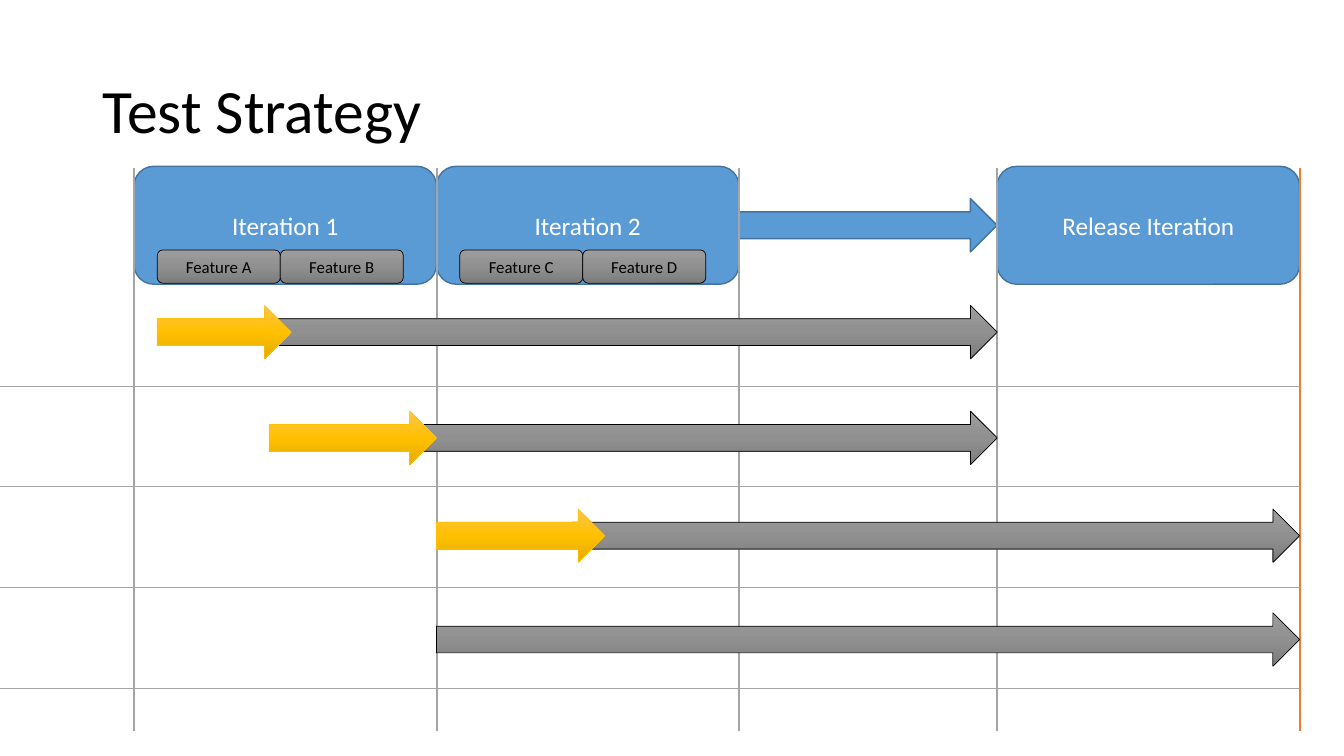
from collections import namedtuple
from copy import deepcopy

from lxml.etree import SubElement
from pptx import Presentation
from pptx.dml.color import RGBColor
from pptx.enum.shapes import MSO_CONNECTOR as Connector, MSO_SHAPE as Shape
from pptx.enum.text import MSO_ANCHOR as Anchor, PP_ALIGN as Align
from pptx.oxml.ns import qn
from pptx.util import Inches, Pt

Box = namedtuple("Box", "left top width height")

COLORS = {
    "black": "000000", "white": "FFFFFF", "blue": "5B9BD5", "navy": "43739E",
    "grid": "A5A5A5", "orange": "ED7D31", "gold": "FFC000",
}
GRADIENTS = {
    "gray": ("9D9D9D", "909090", "7C7C7C"),
    "gold": ("FFC64B", "FFC000", "E3AB00"),
}
STYLES = {
    "iteration": {"fill": "blue", "line": "navy", "weight": 1, "size": 18, "text": "white"},
    "test": {"gradient": "gray", "line": "black", "weight": 0.5, "size": 12, "text": "black"},
    "build": {"gradient": "gold", "line": "gold", "weight": 0.5},
}
COLUMNS = (1.33, 4.33, 7.33, 9.89, 12.89)
ITERATION_WIDTH = 3
ARROW_HEIGHT = 0.53
ITERATIONS = (
    (0, "Iteration 1", ("Feature A", "Feature B")),
    (1, "Iteration 2", ("Feature C", "Feature D")),
    (3, "Release Iteration", ()),
)
# Top, then style, start and end of each arrow
LANES = (
    (3.03, (("test", 2.67, 9.89), ("build", 1.56, 2.89))),
    (4.08, (("test", 4, 9.89), ("build", 2.67, 4.33))),
    (5.05, (("test", 5.67, 12.89), ("build", 4.33, 6))),
    (6.08, (("test", 4.33, 12.89),)),
)


def rgb(name):
    return RGBColor.from_string(COLORS[name])


def set_attributes(target, values):
    for name, value in values.items():
        setattr(target, name, value)


def write_text(shape, text, size, color, align, spacing=1.0):
    set_attributes(shape.text_frame, {"word_wrap": True, "vertical_anchor": Anchor.MIDDLE})
    paragraph = shape.text_frame.paragraphs[0]
    set_attributes(paragraph, {"alignment": align, "line_spacing": spacing})
    run = paragraph.add_run()
    run.text = text
    set_attributes(run.font, {"name": "Calibri", "size": Pt(size)})
    run.font.color.rgb = rgb(color)


def fill_gradient(shape, colors):
    """Fill from top to bottom with evenly spaced colours."""
    shape.fill.gradient()
    shape.fill.gradient_angle = 270
    stop_list = shape._element.spPr.find(qn("a:gradFill")).find(qn("a:gsLst"))
    stop_list.append(deepcopy(stop_list[0]))
    for index, (stop, color) in enumerate(zip(shape.fill.gradient_stops, colors)):
        stop.position = index / (len(colors) - 1)
        stop.color.rgb = RGBColor.from_string(color)


def add_block(slide, kind, box, style_name, text=None):
    style = STYLES[style_name]
    shape = slide.shapes.add_shape(kind, *map(Inches, box))
    shape.shadow.inherit = False
    if "gradient" in style:
        fill_gradient(shape, GRADIENTS[style["gradient"]])
    else:
        shape.fill.solid()
        shape.fill.fore_color.rgb = rgb(style["fill"])
    shape.line.color.rgb = rgb(style["line"])
    shape.line.width = Pt(style["weight"])
    if text:
        write_text(shape, text, style["size"], style["text"], Align.CENTER)


def add_line(slide, start, end, color, weight):
    line = slide.shapes.add_connector(Connector.STRAIGHT, *map(Inches, start + end))
    line.line.color.rgb = rgb(color)
    line.line.width = Pt(weight)
    SubElement(line._element.spPr, qn("a:effectLst"))


def add_title(slide, box, text):
    title = slide.shapes.add_textbox(*map(Inches, box))
    write_text(title, text, 44, "black", Align.LEFT, 0.9)


def add_iteration(slide, box, name, features):
    """Draw one iteration with its features along the lower edge."""
    add_block(slide, Shape.ROUNDED_RECTANGLE, box, "iteration", name)
    width, height = 1.22, 0.33
    for index, feature in enumerate(features):
        feature_box = Box(box.left + 0.23 + index * width,
                          box.top + box.height - height - 0.01, width, height)
        add_block(slide, Shape.ROUNDED_RECTANGLE, feature_box, "test", feature)


def add_timeline(slide, box):
    for column, name, features in ITERATIONS:
        iteration_box = Box(COLUMNS[column], box.top, ITERATION_WIDTH, box.height)
        add_iteration(slide, iteration_box, name, features)
    arrow_top = box.top + (box.height - ARROW_HEIGHT) / 2
    gap_box = Box(COLUMNS[2], arrow_top, COLUMNS[3] - COLUMNS[2], ARROW_HEIGHT)
    add_block(slide, Shape.RIGHT_ARROW, gap_box, "iteration")


def add_grid(slide, box):
    right, bottom = box.left + box.width, box.top + box.height
    for column in COLUMNS:
        color = "orange" if column == COLUMNS[-1] else "grid"
        add_line(slide, (column, box.top), (column, bottom), color, 1.5)
    for row in range(len(LANES)):
        y = box.top + 2.16 + row
        add_line(slide, (right, y), (box.left, y), "grid", 0.5)


def add_lane(slide, top, arrows):
    for style_name, start, end in arrows:
        add_block(slide, Shape.RIGHT_ARROW, Box(start, top, end - start, ARROW_HEIGHT), style_name)


def main():
    presentation = Presentation()
    set_attributes(presentation, {"slide_width": Inches(13.33), "slide_height": Inches(7.5)})
    slide = presentation.slides.add_slide(presentation.slide_layouts[6])
    add_timeline(slide, Box(COLUMNS[0], 1.65, COLUMNS[-1] - COLUMNS[0], 1.17))
    add_grid(slide, Box(0, 1.67, COLUMNS[-1], 5.58))
    for top, arrows in LANES:
        add_lane(slide, top, arrows)
    add_title(slide, Box(0.92, 0.4, 11.5, 1.45), "Test Strategy")
    presentation.save("out.pptx")


if __name__ == "__main__":
    main()
